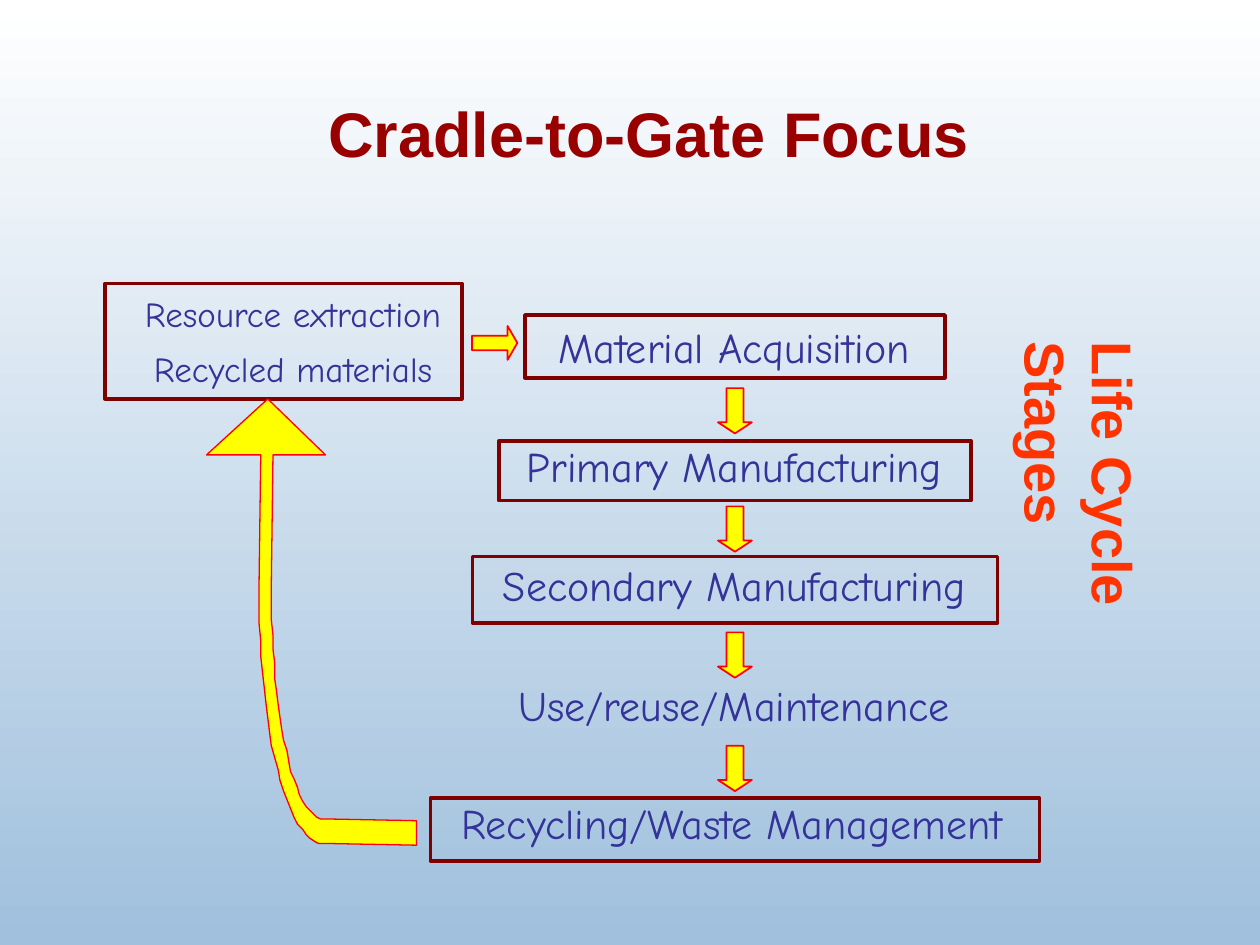
import pptx
import pptx.dml.color
import pptx.enum.shapes
import pptx.enum.text
import pptx.util
from lxml import etree

Pt = pptx.util.Pt
RGBColor = pptx.dml.color.RGBColor
Shape = pptx.enum.shapes.MSO_SHAPE
Align = pptx.enum.text.PP_ALIGN
Anchor = pptx.enum.text.MSO_ANCHOR

WHITE = RGBColor(0xFF, 0xFF, 0xFF)
SKY = RGBColor(0xA0, 0xC0, 0xDD)
CRIMSON = RGBColor(0x99, 0x00, 0x00)
MAROON = RGBColor(0x80, 0x00, 0x00)
INDIGO = RGBColor(0x33, 0x33, 0x99)
ORANGE = RGBColor(0xFF, 0x33, 0x00)
YELLOW = RGBColor(0xFF, 0xFF, 0x00)
RED = RGBColor(0xFF, 0x00, 0x00)

FLOW_CENTER = 420

# label, label top, label width, frame (top, width, height)
STAGES = [
    ("Material Acquisition", 180, 216, (180, 240, 36)),
    ("Primary Manufacturing", 248, 252, (252, 270, 34)),
    ("Secondary Manufacturing", 316, 279.5, (318, 300, 38)),
    ("Use/reuse/Maintenance", 384.5, 262, None),
    ("Recycling/Waste Management", 452, 327, (456, 348, 36)),
]
STAGE_ARROW_TOPS = [221.8, 289.4, 361.4, 426.2]

# Outline of the return arrow: two points make a line, six make a Bezier curve
RETURN_START = (237.6, 483.1)
RETURN_OUTLINE = [
    (185, 482.5),
    (164.2, 482.4, 147.6, 417, 148.2, 336.2),
    (149, 260),
    (118.1, 259.7),
    (152.6, 228.3),
    (186.5, 260),
    (155.5, 260),
    (155.2, 336.2),
    (154.8, 409, 167.8, 468, 185, 468),
    (237.6, 468.7),
]


def bezier_points(start, curve, steps=24):
    x1, y1, x2, y2, x3, y3 = curve
    points = []
    for step in range(1, steps + 1):
        t = step / steps
        weights = ((1 - t) ** 3, 3 * t * (1 - t) ** 2, 3 * t * t * (1 - t), t ** 3)
        points.append((
            sum(w * x for w, x in zip(weights, (start[0], x1, x2, x3))),
            sum(w * y for w, y in zip(weights, (start[1], y1, y2, y3))),
        ))
    return points


class FlowSlide:
    stage_font = {"name": "Comic Neue", "size": Pt(24)}
    source_font = {"name": "Comic Neue", "size": Pt(20)}
    title_font = {"name": "Arial", "size": Pt(36), "bold": True}
    side_font = {"name": "Arial", "size": Pt(32), "bold": True}

    def __init__(self, presentation):
        self.slide = presentation.slides.add_slide(presentation.slide_layouts[6])
        self.shapes = self.slide.shapes

    def background(self, top_color, bottom_color):
        fill = self.slide.background.fill
        fill.gradient()
        fill.gradient_angle = 270
        for stop, position, color in zip(fill.gradient_stops, (0, 1), (top_color, bottom_color)):
            stop.position = position
            stop.color.rgb = color

    def text(self, lines, box, font, color, wrap=False, rotation=0,
             anchor=Anchor.TOP, **paragraph_format):
        label = self.shapes.add_textbox(*map(Pt, box))
        label.rotation = rotation
        frame = label.text_frame
        frame.word_wrap = wrap
        frame.vertical_anchor = anchor
        for index, line in enumerate(lines):
            paragraph = frame.paragraphs[0] if index == 0 else frame.add_paragraph()
            for name, value in paragraph_format.items():
                if index or name != "space_before":
                    setattr(paragraph, name, value)
            run = paragraph.add_run()
            run.text = line
            for name, value in font.items():
                setattr(run.font, name, value)
            run.font.color.rgb = color

    def paint(self, shape, line_color, line_width, fill_color=None):
        shape.shadow.inherit = False
        if fill_color is None:
            shape.fill.background()
        else:
            shape.fill.solid()
            shape.fill.fore_color.rgb = fill_color
        shape.line.color.rgb = line_color
        shape.line.width = Pt(line_width)

    def frame(self, box):
        self.paint(self.shapes.add_shape(Shape.RECTANGLE, *map(Pt, box)), MAROON, 2)

    def arrow(self, left, top, adjustments=(0.5, 0.328), rotation=0):
        arrow = self.shapes.add_shape(Shape.DOWN_ARROW, Pt(left), Pt(top), Pt(19.4), Pt(25.9))
        for index, value in enumerate(adjustments):
            arrow.adjustments[index] = value
        arrow.rotation = rotation
        self.paint(arrow, RED, 1, YELLOW)

    def outline(self, start, segments):
        points = [start]
        for segment in segments:
            points += [segment] if len(segment) == 2 else bezier_points(points[-1], segment)
        builder = self.shapes.build_freeform(*start, scale=float(Pt(1)))
        builder.add_line_segments(points[1:], close=True)
        self.paint(builder.convert_to_shape(), RED, 0.75, YELLOW)


def main():
    presentation = pptx.Presentation()
    presentation.slide_width, presentation.slide_height = Pt(720), Pt(540)
    page = FlowSlide(presentation)
    page.background(WHITE, SKY)
    page.text(["Cradle-to-Gate Focus"], (85.7, 34.6, 570, 82), page.title_font, CRIMSON,
              wrap=True, anchor=Anchor.MIDDLE, alignment=Align.CENTER)

    page.text(["Resource extraction", "Recycled materials"], (60, 168, 215, 58.3),
              page.source_font, INDIGO, wrap=True, alignment=Align.CENTER,
              line_spacing=0.8, space_before=Pt(12.5))
    page.frame((60, 162, 204, 66))
    page.arrow(273, 183, (0.427, 0.287), rotation=270)

    for label, label_top, label_width, frame in STAGES:
        page.text([label], (FLOW_CENTER - label_width / 2, label_top, label_width, 36),
                  page.stage_font, INDIGO)
        if frame:
            top, width, height = frame
            page.frame((FLOW_CENTER - width / 2, top, width, height))
    for top in STAGE_ARROW_TOPS:
        page.arrow(FLOW_CENTER - 9.7, top)

    page.outline(RETURN_START, RETURN_OUTLINE)
    page.text(["Life Cycle Stages"], (496.8, 304.6, 279.4, 46), page.side_font, ORANGE,
              rotation=90)
    presentation.save("out.pptx")


if __name__ == "__main__":
    main()
